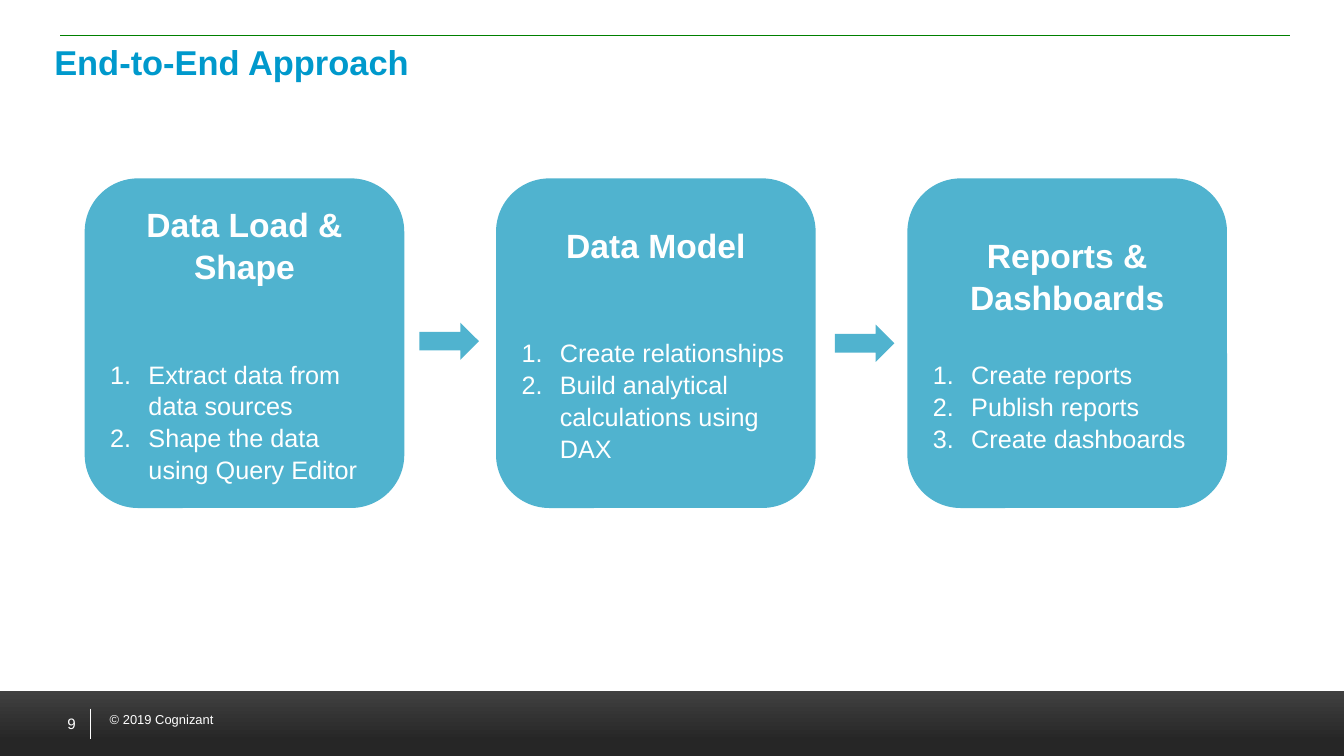
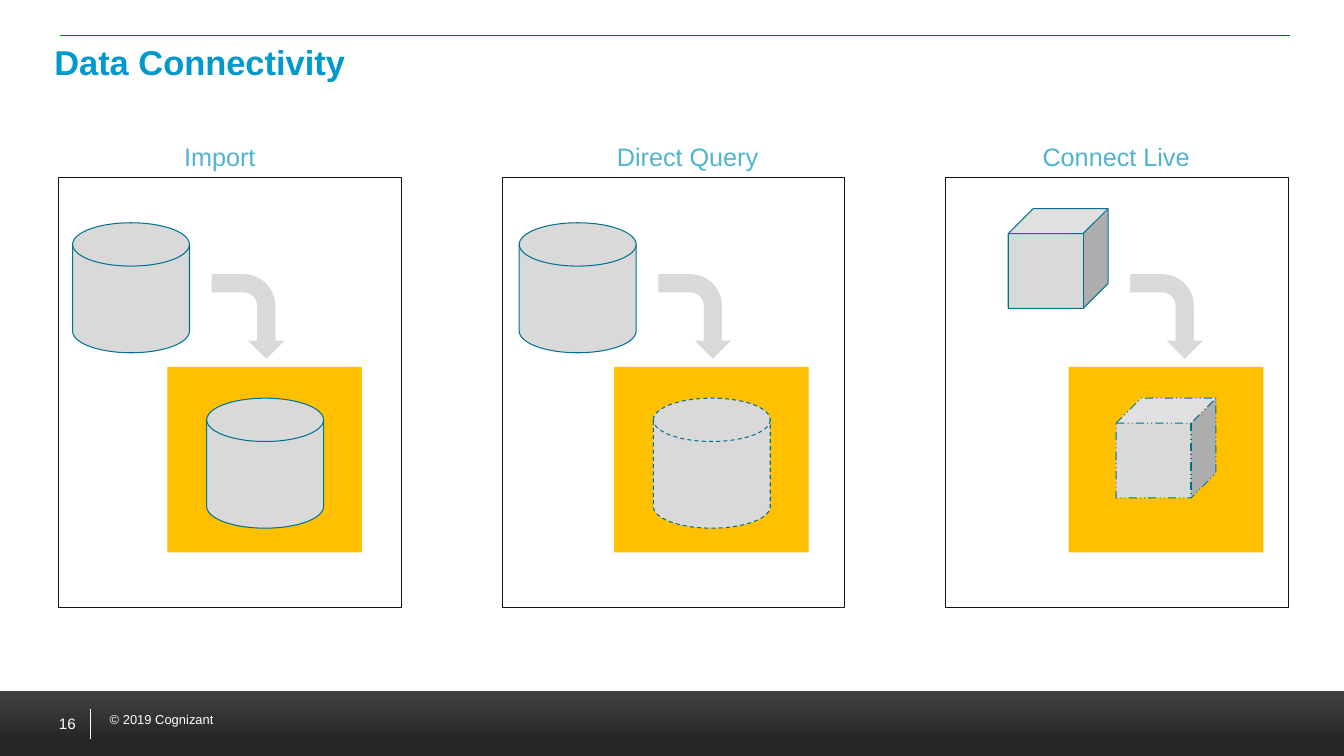
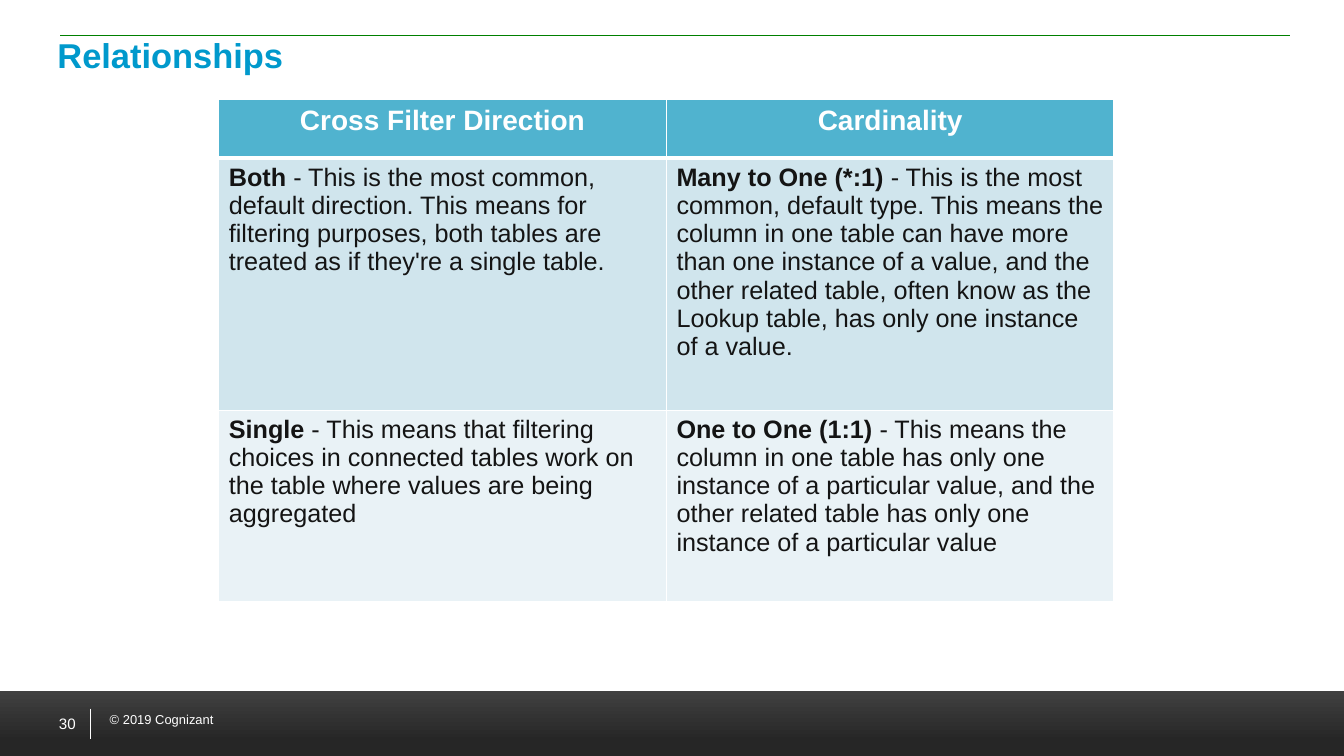
from dataclasses import dataclass

from lxml import etree
from pptx import Presentation
from pptx import util as u
from pptx.dml.color import RGBColor
from pptx.enum import dml, shapes, text
from pptx.oxml import ns

FONT = "Arial"
WHITE, INK, GOLD = "FFFFFF", "141414", "FFC000"
TITLE, SKY, GREY, EDGE = "0099CC", "50B3CF", "D9D9D9", "00728F"
RULE = "008000"
BANDS = (SKY, "D0E5ED", "E9F2F6")
KIND = shapes.MSO_SHAPE
SIDE = text.PP_ALIGN
DASH = dml.MSO_LINE


@dataclass
class Step:
    head: str
    items: list[str]
    gap: float


@dataclass
class Mode:
    name: str
    mid: float
    base: float
    kind: int
    size: tuple[float, float]
    start: tuple[float, float]
    inset: float
    turn: float
    dash: int


STEPS = [
    Step("Data Load & Shape",
         ["Extract data from data sources", "Shape the data using Query Editor"], 50.6),
    Step("Data Model",
         ["Create relationships", "Build analytical calculations using DAX"], 50.6),
    Step("Reports & Dashboards",
         ["Create reports", "Publish reports", "Create dashboards"], 28.9),
]
ARROWS = [(4.16, 3.2), (8.28, 3.22)]

DISK, CUBE = (1.16, 1.29), (0.99, 0.99)
MODES = [
    Mode("Import", 2.18, 1.66, KIND.FLOWCHART_MAGNETIC_DISK, DISK,
         (-0.94, 2.21), 0.39, 0.38, DASH.SOLID),
    Mode("Direct Query", 6.82, 6.09, KIND.FLOWCHART_MAGNETIC_DISK, DISK,
         (-0.94, 2.21), 0.39, 0.38, DASH.DASH),
    Mode("Connect Live", 11.07, 10.6, KIND.CUBE, CUBE,
         (-0.6, 2.07), 0.47, 0.55, DASH.DASH_DOT_DOT),
]

HEADS = ["Cross Filter Direction", "Cardinality"]
ROWS = [
    [("Both", " - This is the most common, default direction. This means for filtering "
      "purposes, both tables are treated as if they're a single table."),
     ("Many to One (*:1)", " - This is the most common, default type. This means the column "
      "in one table can have more than one instance of a value, and the other related table, "
      "often know as the Lookup table, has only one instance of a value.")],
    [("Single", " - This means that filtering choices in connected tables work on the table "
      "where values are being aggregated"),
     ("One to One (1:1)", " - This means the column in one table has only one instance of a "
      "particular value, and the other related table has only one instance of a particular "
      "value")],
]


def rgb(code: str) -> RGBColor:
    return RGBColor.from_string(code)


def style(run, size: float, color: str, bold: bool = False) -> None:
    run.font.name, run.font.size, run.font.bold = FONT, u.Pt(size), bold
    run.font.color.rgb = rgb(color)


def write(para, words: str, size: float, color: str, bold: bool = False,
          side: int = SIDE.LEFT) -> None:
    para.text = words
    para.alignment = side
    style(para.runs[0], size, color, bold)


def label(slide, box: tuple, words: str, size: float, color: str, bold: bool = False,
          side: int = SIDE.LEFT, wrap: bool = True,
          anchor: int = text.MSO_ANCHOR.TOP):
    frame = slide.shapes.add_textbox(*map(u.Inches, box)).text_frame
    frame.word_wrap, frame.vertical_anchor = wrap, anchor
    write(frame.paragraphs[0], words, size, color, bold, side)
    return frame


def block(slide, kind: int, box: tuple, fill: str, line: str = "",
          dash: int = DASH.SOLID):
    shape = slide.shapes.add_shape(kind, *map(u.Inches, box))
    shape.shadow.inherit = False
    shape.fill.solid()
    shape.fill.fore_color.rgb = rgb(fill)
    if line:
        shape.line.color.rgb = rgb(line)
        shape.line.width = u.Pt(0.75)
        shape.line.dash_style = dash
    else:
        shape.line.fill.background()
    return shape


def rule(slide, ends: tuple, color: str) -> None:
    line = slide.shapes.add_connector(shapes.MSO_CONNECTOR.STRAIGHT, *map(u.Inches, ends))
    line.line.color.rgb = rgb(color)
    line.line.width = u.Pt(0.5)
    etree.SubElement(line._element.spPr, ns.qn("a:effectLst"))


def page(deck, title: str, number: int, top: float = 0.36, pad: float = 0.1):
    slide = deck.slides.add_slide(deck.slide_layouts[6])
    band = block(slide, KIND.RECTANGLE, (0, 6.86, 13.33, 0.65), INK)
    band.fill.gradient()
    band.fill.gradient_angle = 90
    for stop, (place, color) in zip(band.fill.gradient_stops,
                                    [(0.24, "262626"), (1, "404040")]):
        stop.position, stop.color.rgb = place, rgb(color)
    label(slide, (0.99, 7.01, 2.8, 0.26), "© 2019 Cognizant", 9.2, WHITE)
    rule(slide, (0.9, 7.03, 0.9, 7.33), WHITE)
    rule(slide, (0.6, 0.35, 12.79, 0.35), RULE)
    label(slide, (0.06, 6.9, 0.79, 0.55), str(number), 10.8, WHITE,
          side=SIDE.RIGHT, anchor=text.MSO_ANCHOR.MIDDLE)
    frame = label(slide, (0.44, top, 12.34, 0.55), title, 24.6, TITLE, True)
    frame.margin_left = frame.margin_right = u.Inches(pad)
    return slide


def count(para) -> None:
    props = para._p.get_or_add_pPr()
    props.set("marL", str(u.Inches(0.38)))
    props.set("indent", str(u.Inches(-0.38)))
    etree.SubElement(props, ns.qn("a:buFont"), typeface="+mj-lt")
    etree.SubElement(props, ns.qn("a:buAutoNum"), type="arabicPeriod")


def card(slide, step: Step, left: float) -> None:
    shape = block(slide, KIND.ROUNDED_RECTANGLE, (left, 1.77, 3.17, 3.27), SKY)
    frame = shape.text_frame
    frame.word_wrap, frame.vertical_anchor = True, text.MSO_ANCHOR.MIDDLE
    write(frame.paragraphs[0], step.head, 24, WHITE, True, SIDE.CENTER)
    for i, item in enumerate(step.items):
        para = frame.add_paragraph()
        count(para)
        write(para, item, 18, WHITE)
        para.space_before = u.Pt(0 if i else step.gap)
    for para in frame.paragraphs:
        para.line_spacing = 1.05


def panel(slide, mode: Mode, left: float) -> None:
    block(slide, KIND.RECTANGLE, (left, 1.76, 3.4, 4.27), WHITE, INK)
    label(slide, (mode.mid - 0.9, 1.35, 1.8, 0.4), mode.name, 18, SKY,
          side=SIDE.CENTER, wrap=False)
    block(slide, KIND.RECTANGLE, (mode.base, 3.64, 1.93, 1.84), GOLD)
    shift, top = mode.start
    block(slide, mode.kind, (mode.base + shift, top, *mode.size), GREY, EDGE)
    block(slide, mode.kind, (mode.base + mode.inset, 3.95, *mode.size), GREY, EDGE, mode.dash)
    turn = block(slide, KIND.BENT_ARROW, (mode.base + mode.turn, 2.78, 0.84, 0.72), GREY)
    turn.rotation = 90


def border(cell, base: float, top: float) -> None:
    props = cell._tc.get_or_add_tcPr()
    for tag, width in (("lnL", 1), ("lnR", 1), ("lnT", top), ("lnB", base)):
        line = etree.SubElement(props, ns.qn(f"a:{tag}"), w=str(u.Pt(width)))
        fill = etree.SubElement(line, ns.qn("a:solidFill"))
        etree.SubElement(fill, ns.qn("a:srgbClr"), val=WHITE)


def grid(slide) -> None:
    table = slide.shapes.add_table(3, 2, *map(u.Inches, (2.17, 0.99, 8.88, 4.98))).table
    for row, high in zip(table.rows, (0.58, 2.5, 1.9)):
        row.height = u.Inches(high)
    for i, color in enumerate(BANDS):
        for j, head in enumerate(HEADS):
            cell = table.cell(i, j)
            border(cell, 1 if i else 3, 3 if i == 1 else 1)
            cell.fill.solid()
            cell.fill.fore_color.rgb = rgb(color)
            para = cell.text_frame.paragraphs[0]
            if i == 0:
                write(para, head, 20, WHITE, True, SIDE.CENTER)
                continue
            term, rest = ROWS[i - 1][j]
            write(para, term, 18, INK, True)
            run = para.add_run()
            run.text = rest
            style(run, 18, INK)


def main() -> None:
    deck = Presentation()
    deck.slide_width, deck.slide_height = u.Inches(13.33), u.Inches(7.5)

    slide = page(deck, "End-to-End Approach", 9)
    for i, step in enumerate(STEPS):
        card(slide, step, 0.84 + 4.08 * i)
    for left, top in ARROWS:
        block(slide, KIND.RIGHT_ARROW, (left, top, 0.59, 0.37), SKY)

    slide = page(deck, "Data Connectivity", 16)
    for i, mode in enumerate(MODES):
        panel(slide, mode, 0.58 + 4.4 * i)

    grid(page(deck, "Relationships", 30, 0.29, 0.13))
    deck.save("out.pptx")


if __name__ == "__main__":
    main()
